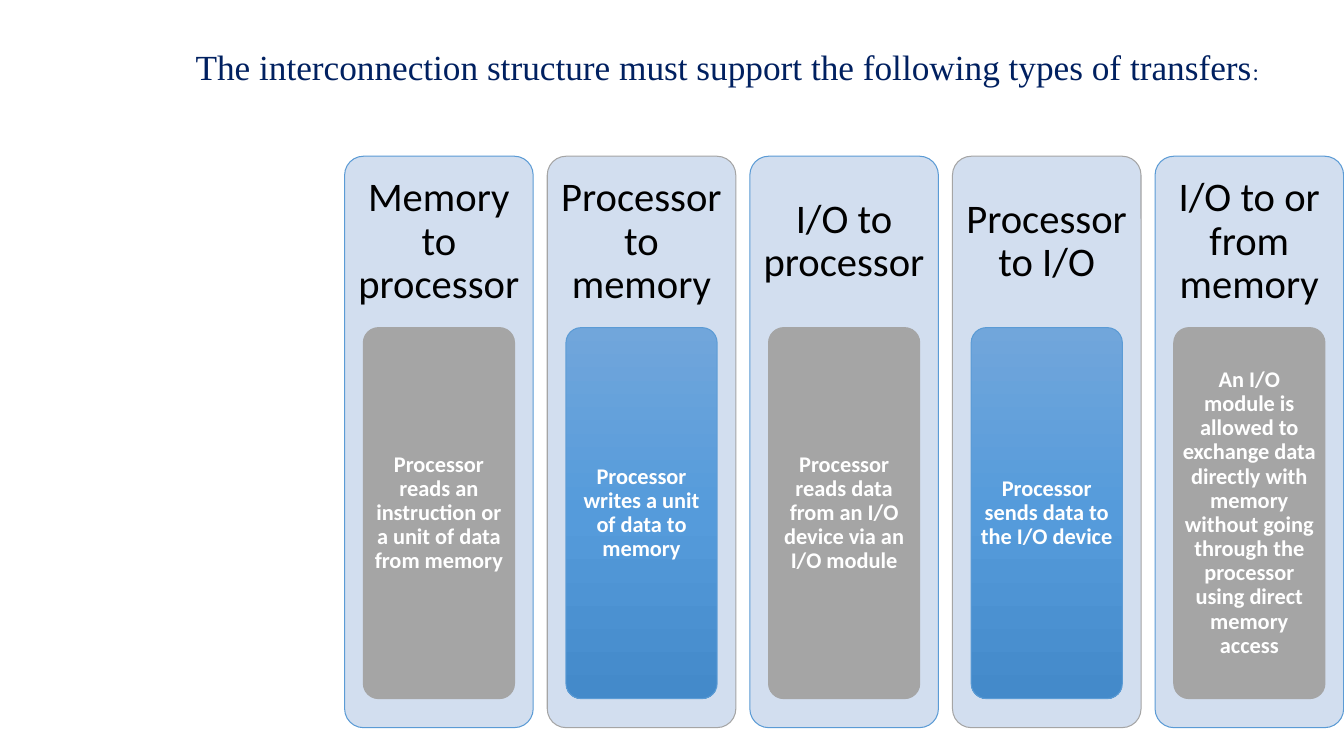
"""Build the slide on the transfer types of an interconnection structure."""
from copy import deepcopy

from pptx import Presentation
from pptx.dml.color import RGBColor
from pptx.enum.shapes import MSO_SHAPE as Shape
from pptx.enum.text import MSO_ANCHOR as Anchor, PP_ALIGN as Align
from pptx.oxml.ns import qn
from pptx.util import Pt

TITLE = [
    ("The interconnection structure must support the following types of transfers", 25.2),
    (":", 16.2),
]
TRANSFERS = [
    ("Memory to processor",
     "Processor reads an instruction or a unit of data from memory"),
    ("Processor to memory",
     "Processor writes a unit of data to memory"),
    ("I/O to processor",
     "Processor reads data from an I/O device via an I/O module"),
    ("Processor to I/O",
     "Processor sends data to the I/O device"),
    ("I/O to or from memory",
     "An I/O module is allowed to exchange data directly with memory without going "
     "through the processor using direct memory access"),
]
NAVY, BLACK, WHITE = "002060", "000000", "FFFFFF"
PALE, BLUE, GRAY = "D2DEEF", "5B9BD5", "A5A5A5"
BLUE_STOPS = [(0, "71A6DB"), (0.5, "559BDB"), (1, "448ACA")]

PANEL_LEFT, PANEL_TOP, PANEL_WIDTH, PANEL_HEIGHT = 246.2, 111.6, 134.7, 408.2
PITCH = 144.72
CARD_WIDTH, CARD_HEIGHT, CARD_TOP = 108, 265, 234


def color(hex_string):
    return RGBColor.from_string(hex_string)


def fill_gradient(box, stops):
    box.fill.gradient()
    box.fill.gradient_angle = 270
    stop_list = box.element.spPr.find(qn("a:gradFill")).find(qn("a:gsLst"))
    stop_list.append(deepcopy(stop_list[-1]))
    for stop, (position, shade) in zip(box.fill.gradient_stops, stops):
        stop.position = position
        stop.color.rgb = color(shade)


def add_box(slide, place, outline, words, size, ink, bold, insets):
    box = slide.shapes.add_shape(Shape.ROUNDED_RECTANGLE, *map(Pt, place))
    box.adjustments[0] = 0.1
    box.shadow.inherit = False
    box.line.color.rgb = color(outline)
    box.line.width = Pt(0.75)
    frame = box.text_frame
    frame.word_wrap = True
    frame.vertical_anchor = Anchor.MIDDLE
    side, top, bottom = map(Pt, insets)
    frame.margin_left = frame.margin_right = side
    frame.margin_top, frame.margin_bottom = top, bottom
    frame.text = words
    paragraph = frame.paragraphs[0]
    paragraph.alignment = Align.CENTER
    paragraph.line_spacing = 0.9
    font = paragraph.runs[0].font
    font.name, font.size, font.bold = "Calibri", Pt(size), bold
    font.color.rgb = color(ink)
    return box


def add_title(slide):
    title = slide.shapes.title
    title.left, title.top, title.width, title.height = map(Pt, (132.5, 18, 828, 63.4))
    title.text_frame.vertical_anchor = Anchor.MIDDLE
    paragraph = title.text_frame.paragraphs[0]
    paragraph.alignment = Align.LEFT
    paragraph.line_spacing = 0.9
    for words, size in TITLE:
        run = paragraph.add_run()
        run.text = words
        run.font.name, run.font.size = "Times New Roman", Pt(size)
        run.font.color.rgb = color(NAVY)


def add_transfer(slide, index, heading, detail):
    left = PANEL_LEFT + index * PITCH
    panel_line, card_line = (GRAY, BLUE) if index % 2 else (BLUE, GRAY)
    below_heading = PANEL_TOP + PANEL_HEIGHT - CARD_TOP
    panel = add_box(slide, (left, PANEL_TOP, PANEL_WIDTH, PANEL_HEIGHT), panel_line,
                    heading, 29, BLACK, False, (4.7, 4.7, below_heading + 4.7))
    panel.fill.solid()
    panel.fill.fore_color.rgb = color(PALE)

    card_left = left + (PANEL_WIDTH - CARD_WIDTH) / 2
    card = add_box(slide, (card_left, CARD_TOP, CARD_WIDTH, CARD_HEIGHT), card_line,
                   detail, 16, WHITE, True, (3, 2.2, 2.2))
    if index % 2:
        fill_gradient(card, BLUE_STOPS)
    else:
        card.fill.solid()
        card.fill.fore_color.rgb = color(GRAY)


def main():
    deck = Presentation()
    deck.slide_width, deck.slide_height = Pt(960), Pt(540)
    slide = deck.slides.add_slide(deck.slide_layouts[5])
    add_title(slide)
    for index, (heading, detail) in enumerate(TRANSFERS):
        add_transfer(slide, index, heading, detail)
    deck.save("out.pptx")


if __name__ == "__main__":
    main()
